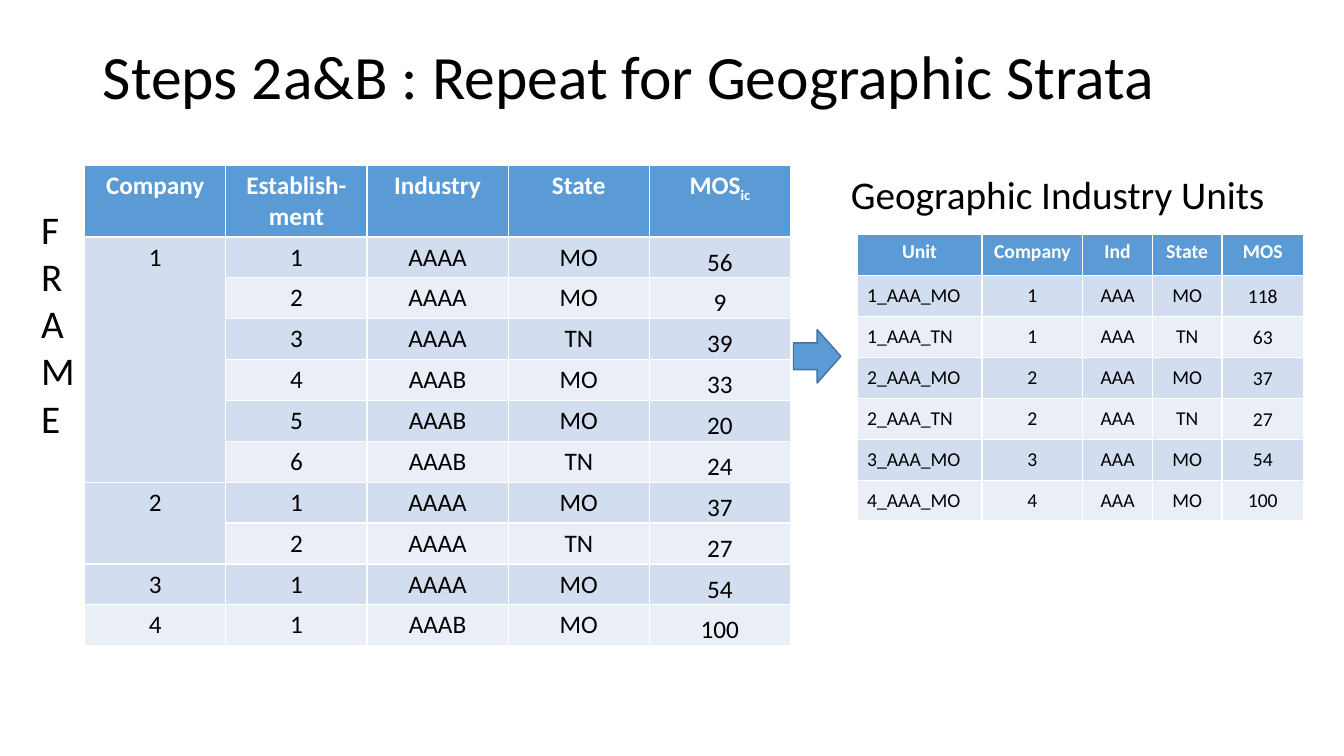
from pptx import Presentation
from pptx.dml.color import RGBColor
from pptx.enum.shapes import MSO_SHAPE
from pptx.enum.text import MSO_ANCHOR, MSO_AUTO_SIZE, PP_ALIGN
from pptx.util import Pt

PX = 9144
BLACK = RGBColor(0x00, 0x00, 0x00)
WHITE = RGBColor(0xFF, 0xFF, 0xFF)
BLUE = RGBColor(0x5B, 0x9B, 0xD5)
EDGE = RGBColor(0x43, 0x73, 0x9E)
BANDS = (RGBColor(0xD2, 0xDE, 0xEF), RGBColor(0xEA, 0xEF, 0xF7))
LEFT, CENTER = PP_ALIGN.LEFT, PP_ALIGN.CENTER
TOP, MIDDLE, BOTTOM = MSO_ANCHOR.TOP, MSO_ANCHOR.MIDDLE, MSO_ANCHOR.BOTTOM
GROW = MSO_AUTO_SIZE.SHAPE_TO_FIT_TEXT
ARROW = MSO_SHAPE.RIGHT_ARROW

FRAME = [
    ("Company", "Establish-ment", "Industry", "State", "MOS"),
    ("1", "1", "AAAA", "MO", "56"),
    ("", "2", "AAAA", "MO", "9"),
    ("", "3", "AAAA", "TN", "39"),
    ("", "4", "AAAB", "MO", "33"),
    ("", "5", "AAAB", "MO", "20"),
    ("", "6", "AAAB", "TN", "24"),
    ("2", "1", "AAAA", "MO", "37"),
    ("", "2", "AAAA", "TN", "27"),
    ("3", "1", "AAAA", "MO", "54"),
    ("4", "1", "AAAB", "MO", "100"),
]
UNITS = [
    ("Unit", "Company", "Ind", "State", "MOS"),
    ("1_AAA_MO", "1", "AAA", "MO", "118"),
    ("1_AAA_TN", "1", "AAA", "TN", "63"),
    ("2_AAA_MO", "2", "AAA", "MO", "37"),
    ("2_AAA_TN", "2", "AAA", "TN", "27"),
    ("3_AAA_MO", "3", "AAA", "MO", "54"),
    ("4_AAA_MO", "4", "AAA", "MO", "100"),
]


class Deck:
    font = "Calibri"

    def __init__(self, width, height):
        self.prs = Presentation()
        self.prs.slide_width = width * PX
        self.prs.slide_height = height * PX
        self.slide = self.prs.slides.add_slide(self.prs.slide_layouts[5])

    def box(self, *lengths):
        return [length * PX for length in lengths]

    def style(self, run, size, color=BLACK, bold=False):
        run.font.name = self.font
        run.font.size = Pt(size)
        run.font.bold = bold
        run.font.color.rgb = color

    def put(self, frame, text, size, align=LEFT, color=BLACK, bold=False):
        frame.text = text
        para = frame.paragraphs[0]
        para.alignment = align
        for run in para.runs:
            self.style(run, size, color, bold)
        return para

    def title(self, text, *place):
        shape = self.slide.shapes.title
        shape.left, shape.top, shape.width, shape.height = self.box(*place)
        frame = shape.text_frame
        frame.vertical_anchor = MIDDLE
        self.put(frame, text, 44).line_spacing = 0.9

    def label(self, text, *place, wrap):
        shape = self.slide.shapes.add_textbox(*self.box(*place))
        frame = shape.text_frame
        frame.word_wrap = wrap
        frame.auto_size = GROW
        self.put(frame, text, 28)

    def arrow(self, *place):
        shape = self.slide.shapes.add_shape(ARROW, *self.box(*place))
        shape.shadow.inherit = False
        shape.fill.solid()
        shape.fill.fore_color.rgb = BLUE
        shape.line.color.rgb = EDGE
        shape.line.width = Pt(1)

    def table(self, data, left, top, height, widths, size, first, anchors):
        place = self.box(left, top, sum(widths), height)
        table = self.slide.shapes.add_table(len(data), len(widths), *place).table
        for col, width in zip(table.columns, widths):
            col.width = width * PX
        last = len(widths) - 1
        for r, row in enumerate(data):
            for c, text in enumerate(row):
                cell = table.cell(r, c)
                cell.fill.solid()
                cell.fill.fore_color.rgb = BANDS[(r - 1) % 2] if r else BLUE
                align = first if r and c == 0 else CENTER
                color = BLACK if r else WHITE
                self.put(cell.text_frame, text, size, align, color, r == 0)
                cell.vertical_anchor = anchors[c == last] if r else TOP
                if r and c == last:
                    cell.margin_left = cell.margin_right = cell.margin_top = PX
                    cell.margin_bottom = 0
        return table

    def sub(self, cell, text, size):
        run = cell.text_frame.paragraphs[0].add_run()
        run.text = text
        self.style(run, size, WHITE, True)
        run._r.get_or_add_rPr().set("baseline", "-25000")


def main():
    deck = Deck(1333, 750)
    deck.title("Steps 2a&B : Repeat for Geographic Strata", 92, 6, 1150, 145)

    frame = deck.table(FRAME, 84, 164, 446, [140] * 5, 18, CENTER, (TOP, BOTTOM))
    deck.sub(frame.cell(0, 4), "ic", 18)
    for start, end in ((1, 6), (7, 8)):
        frame.cell(start, 0).merge(frame.cell(end, 0))

    deck.arrow(787, 327, 47, 53)
    deck.label("FRAME", 31, 199, 47, 246, wrap=True)
    widths = [124, 100, 69, 69, 81]
    deck.table(UNITS, 850, 233, 284, widths, 14, LEFT, (MIDDLE, MIDDLE))
    deck.label("Geographic Industry Units", 834, 164, 435, 57, wrap=False)
    deck.prs.save("out.pptx")


if __name__ == "__main__":
    main()
